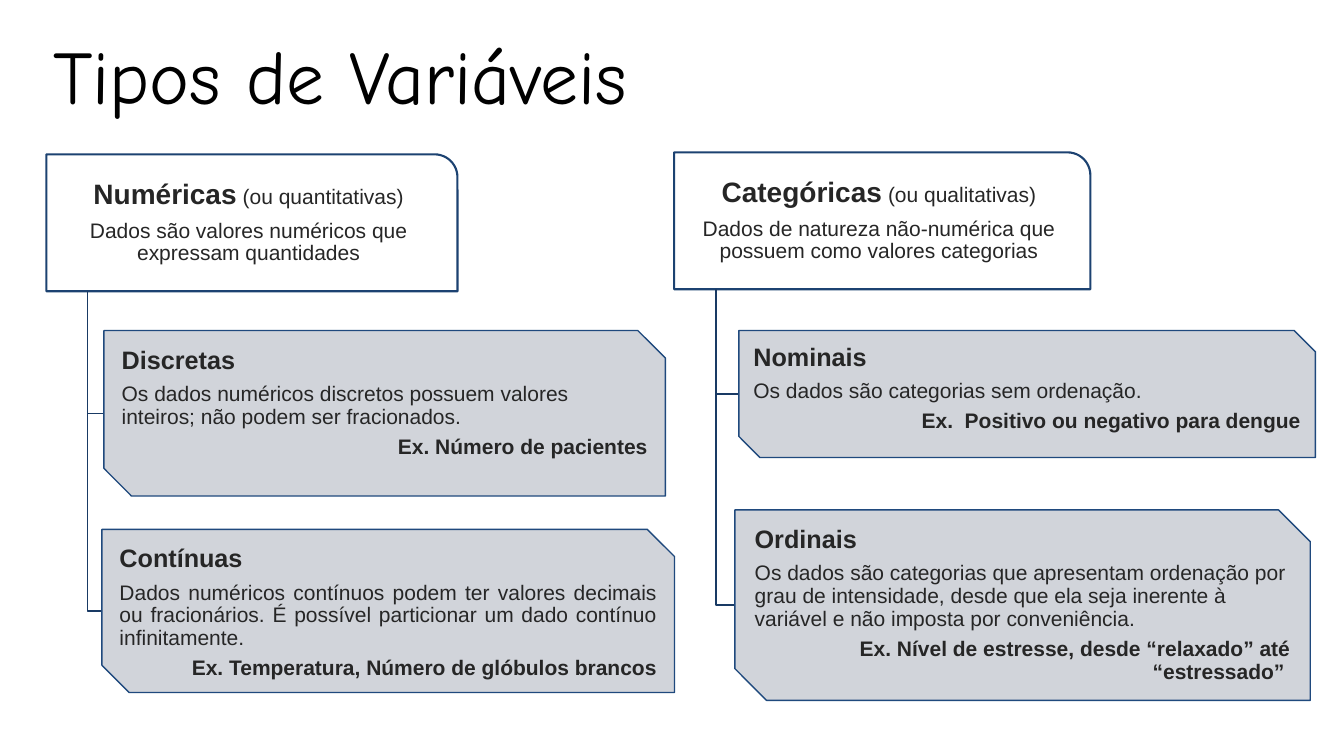
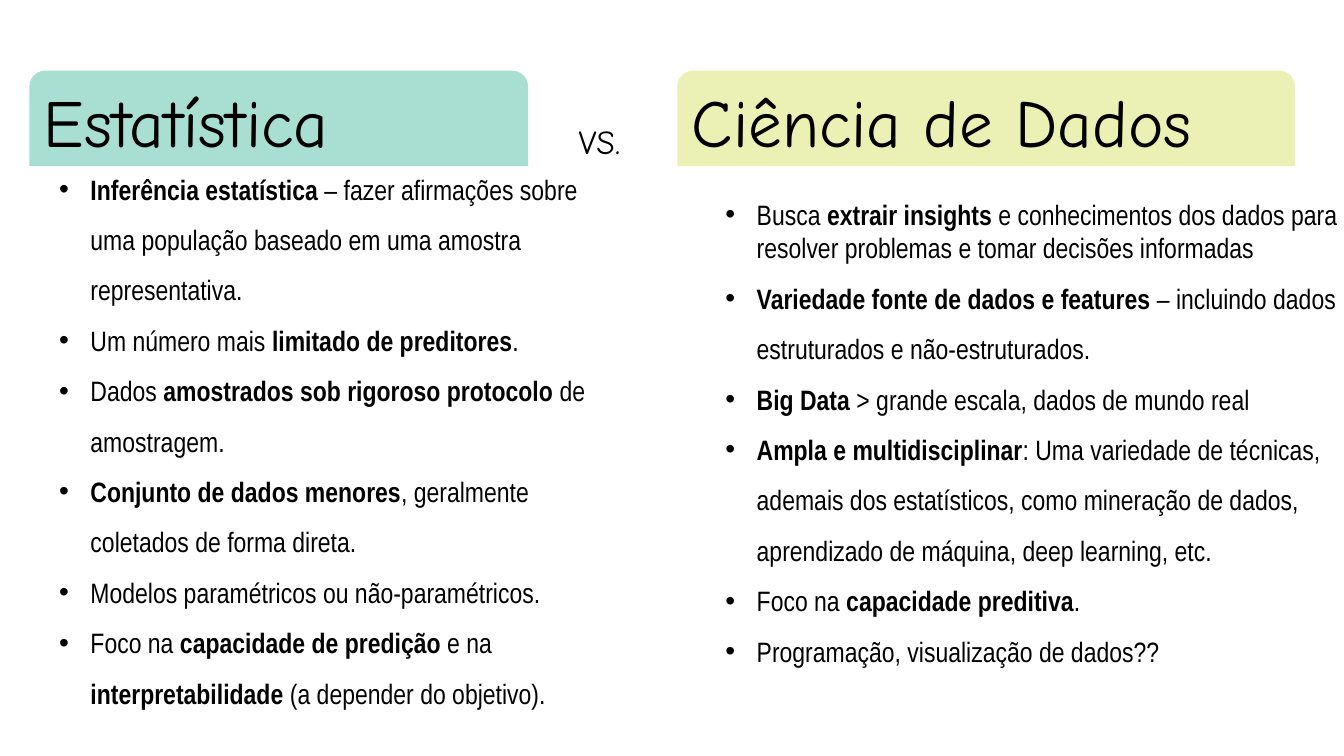
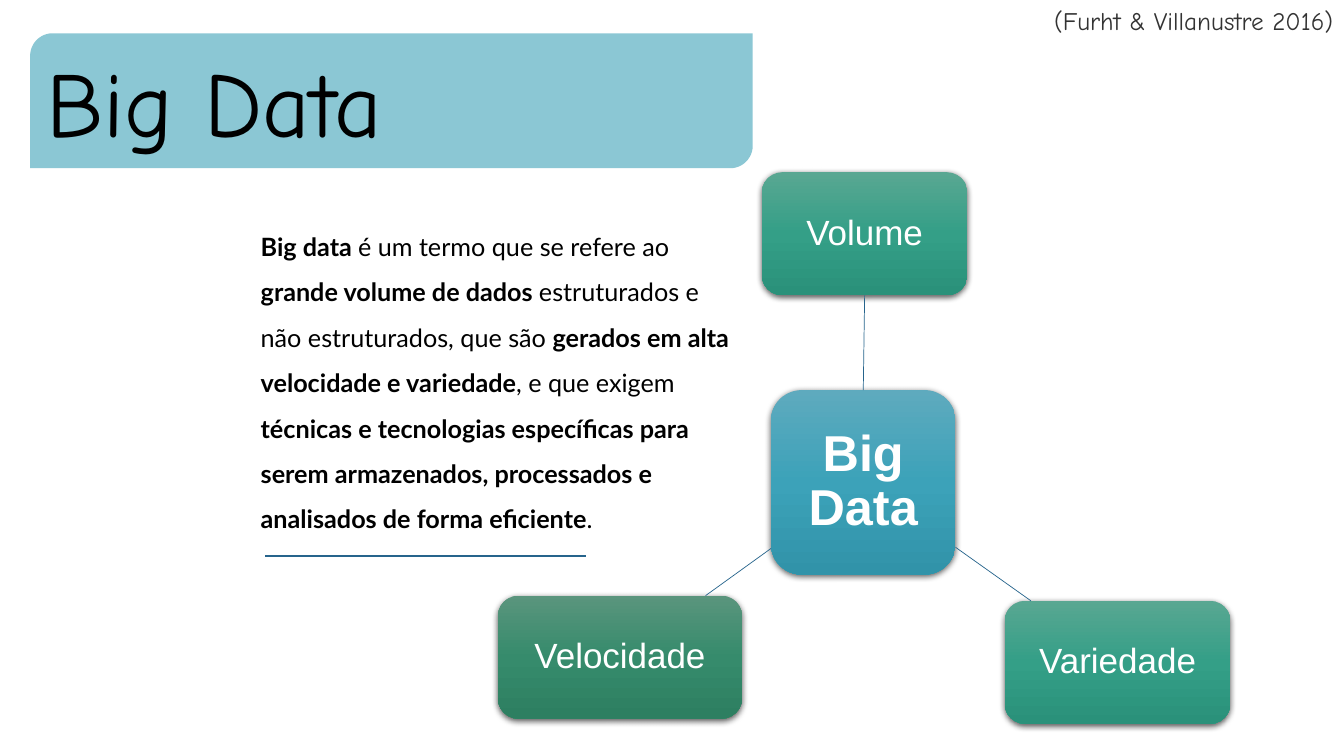
from dataclasses import dataclass
from typing import Any, Optional, Sequence

import lxml.etree
import pptx
import pptx.dml.color
import pptx.enum.shapes
import pptx.enum.text
import pptx.oxml
import pptx.oxml.ns
import pptx.util

Cm = pptx.util.Cm
Pt = pptx.util.Pt
qn = pptx.oxml.ns.qn
Align = pptx.enum.text.PP_ALIGN
Anchor = pptx.enum.text.MSO_ANCHOR
AutoSize = pptx.enum.text.MSO_AUTO_SIZE
Preset = pptx.enum.shapes.MSO_SHAPE

COLOURS = {
    "black": "000000", "white": "FFFFFF", "text": "262626", "citation": "333333",
    "group line": "1C4271", "card line": "1F497D", "card": "CDD0D7", "branch": "193A64",
    "mint": "A8DFD2", "lime": "EBF1B5", "sky": "8BC7D4", "link": "26648C",
}
GRADIENTS = {
    "blue": ("5EAABE", "3CA2B9", "3193A9"),
    "teal": ("59A792", "349F87", "2A917A"),
    "green": ("5A957D", "368B6C", "2D7F61"),
}
TITLE_FONT = "Comic Neue"
DIAGRAM_FONT = "Arial"
SIDE_MARGIN, TOP_MARGIN = 0.25, 0.13
AFTER_RATIO = 0.35


@dataclass
class Box:
    left: float
    top: float
    width: float
    height: float

    @property
    def lengths(self) -> tuple:
        return Cm(self.left), Cm(self.top), Cm(self.width), Cm(self.height)


@dataclass
class Run:
    text: str
    size: float
    bold: bool = False


@dataclass
class Paragraph:
    runs: Sequence[Run]
    align: Any = Align.LEFT
    spacing: float = 1.0
    after: float = 0
    bullet: Optional[bool] = None  # None leaves a plain text box as it is


@dataclass
class Card:
    box: Box
    name: str
    description: str
    example: str
    align: Any = Align.LEFT
    anchor: Any = Anchor.TOP


@dataclass
class Group:
    box: Box
    name: str
    alias: str
    description: str
    cards: Sequence[Card]


@dataclass
class Node:
    box: Box
    label: str
    gradient: str
    size: float = 25
    bold: bool = False
    margin: float = 0.18


# Shared helpers
def colour(name: str) -> Any:
    return pptx.dml.color.RGBColor.from_string(COLOURS[name])


def marked_runs(text: str, size: float) -> list[Run]:
    """Split text at ** marks; every second piece is bold."""
    pieces = text.split("**")
    return [Run(piece, size, index % 2 == 1) for index, piece in enumerate(pieces) if piece]


def set_bullet(paragraph: Any, bullet: bool) -> None:
    properties = paragraph._p.get_or_add_pPr()
    indent = Cm(0.79) if bullet else 0
    properties.set("marL", str(indent))
    properties.set("indent", str(-indent))
    if bullet:
        lxml.etree.SubElement(properties, qn("a:buFont")).set("typeface", "Arial")
        lxml.etree.SubElement(properties, qn("a:buChar")).set("char", "•")
    else:
        lxml.etree.SubElement(properties, qn("a:buNone"))


def write_text(shape: Any, paragraphs: Sequence[Paragraph], font: str, colour_name: str,
               anchor: Any = Anchor.TOP, side: float = SIDE_MARGIN, top: float = TOP_MARGIN,
               auto_size: Any = AutoSize.NONE) -> None:
    frame = shape.text_frame
    frame.word_wrap = True
    frame.auto_size = auto_size
    frame.vertical_anchor = anchor
    frame.margin_left = frame.margin_right = Cm(side)
    frame.margin_top = frame.margin_bottom = Cm(top)
    for index, content in enumerate(paragraphs):
        paragraph = frame.add_paragraph() if index else frame.paragraphs[0]
        if content.bullet is not None:
            set_bullet(paragraph, content.bullet)
        paragraph.alignment = content.align
        paragraph.line_spacing = content.spacing
        paragraph.space_before = Pt(0)
        paragraph.space_after = Pt(content.after)
        for item in content.runs:
            run = paragraph.add_run()
            run.text = item.text
            run.font.name = font
            run.font.size = Pt(item.size)
            run.font.bold = item.bold
            run.font.color.rgb = colour(colour_name)


def place(shape: Any, box: Box) -> None:
    shape.left, shape.top, shape.width, shape.height = box.lengths


def add_preset(slide: Any, preset: Any, box: Box, fill: Optional[str] = None,
               line: Optional[str] = None, line_width: float = 1) -> Any:
    shape = slide.shapes.add_shape(preset, *box.lengths)
    shape.shadow.inherit = False
    if fill:
        shape.fill.solid()
        shape.fill.fore_color.rgb = colour(fill)
    else:
        shape.fill.background()
    if line:
        shape.line.color.rgb = colour(line)
        shape.line.width = Pt(line_width)
    else:
        shape.line.fill.background()
    return shape


def add_line(slide: Any, start: tuple, end: tuple, width: float) -> Any:
    connector = slide.shapes.add_connector(
        pptx.enum.shapes.MSO_CONNECTOR.STRAIGHT, *(Cm(value) for value in start + end))
    connector.line.color.rgb = colour("link")
    connector.line.width = Pt(width)
    lxml.etree.SubElement(connector.element.spPr, qn("a:effectLst"))
    return connector


def add_label(slide: Any, box: Box, text: str, size: float, colour_name: str,
              align: Any = Align.LEFT) -> None:
    label = slide.shapes.add_textbox(*box.lengths)
    write_text(label, [Paragraph([Run(text, size)], align)], TITLE_FONT, colour_name)


def set_title(slide: Any, box: Box, text: str, size: float,
              preset: Any = None, fill: Optional[str] = None) -> None:
    title = slide.shapes.title
    place(title, box)
    corner = 0.0
    if preset is not None:
        band = add_preset(slide, preset, box, fill)
        title.element.addprevious(band.element)
        corner = box.height / 6 * 0.293  # room the rounded corner takes
    write_text(title, [Paragraph([Run(text, size)])], TITLE_FONT, "black",
               side=SIDE_MARGIN + corner, top=TOP_MARGIN + corner)


# Slide 1: tree of variable types
def diagram_paragraph(runs: Sequence[Run], align: Any = Align.LEFT) -> Paragraph:
    return Paragraph(runs, align, 0.9, AFTER_RATIO * max(run.size for run in runs))


def add_branch(slide: Any, parent: Box, child: Box) -> None:
    stem = parent.left + parent.width / 10
    middle = child.top + child.height / 2
    builder = slide.shapes.build_freeform(Cm(stem), Cm(parent.top + parent.height))
    builder.add_line_segments(
        [(Cm(stem), Cm(middle)), (Cm(child.left), Cm(middle))], close=False)
    branch = builder.convert_to_shape()
    branch.shadow.inherit = False
    branch.fill.background()
    branch.line.color.rgb = colour("branch")
    branch.line.width = Pt(1)


def add_card(slide: Any, card: Card) -> None:
    shape = add_preset(slide, Preset.SNIP_2_DIAG_RECTANGLE, card.box, "card", "card line")
    fill_colour = shape.element.spPr.find(qn("a:solidFill")).find(qn("a:srgbClr"))
    lxml.etree.SubElement(fill_colour, qn("a:alpha")).set("val", "90000")
    write_text(shape, [
        diagram_paragraph([Run(card.name, 18, True)]),
        diagram_paragraph([Run(card.description, 15)], card.align),
        diagram_paragraph([Run(card.example, 15, True)], Align.RIGHT),
    ], DIAGRAM_FONT, "text", card.anchor, 0.1, 0.08)


def add_group(slide: Any, group: Group) -> None:
    shape = add_preset(slide, Preset.ROUND_1_RECTANGLE, group.box, "white", "group line", 1.5)
    write_text(shape, [
        diagram_paragraph([Run(group.name, 20, True), Run(f" ({group.alias})", 15)], Align.CENTER),
        diagram_paragraph([Run(group.description, 15)], Align.CENTER),
    ], DIAGRAM_FONT, "text", Anchor.MIDDLE, 0.1, 0.08)
    for card in group.cards:
        add_branch(slide, group.box, card.box)
        add_card(slide, card)


def build_variable_types(presentation: Any) -> None:
    slide = presentation.slides.add_slide(presentation.slide_layouts[5])
    set_title(slide, Box(1.09, 0.61, 30.66, 2.57), "Tipos de Variáveis", 54)
    groups = [
        Group(Box(1.17, 3.89, 10.36, 3.45), "Numéricas", "ou quantitativas",
              "Dados são valores numéricos que expressam quantidades", [
                  Card(Box(2.62, 8.33, 14.15, 4.17), "Discretas",
                       "Os dados numéricos discretos possuem valores inteiros; "
                       "não podem ser fracionados.",
                       "Ex. Número de pacientes"),
                  Card(Box(2.57, 13.34, 14.43, 4.11), "Contínuas",
                       "Dados numéricos contínuos podem ter valores decimais ou fracionários. "
                       "É possível particionar um dado contínuo infinitamente.",
                       "Ex. Temperatura, Número de glóbulos brancos", Align.JUSTIFY),
              ]),
        Group(Box(16.99, 3.84, 10.49, 3.45), "Categóricas", "ou qualitativas",
              "Dados de natureza não-numérica que possuem como valores categorias", [
                  Card(Box(18.62, 8.33, 14.53, 3.2), "Nominais",
                       "Os dados são categorias sem ordenação.",
                       "Ex.  Positivo ou negativo para dengue"),
                  Card(Box(18.52, 12.85, 14.5, 4.8), "Ordinais",
                       "Os dados são categorias que apresentam ordenação por grau de intensidade, "
                       "desde que ela seja inerente à variável e não imposta por conveniência.",
                       "Ex. Nível de estresse, desde “relaxado” até “estressado” ",
                       anchor=Anchor.MIDDLE),
              ]),
    ]
    for group in groups:
        add_group(slide, group)


# Slide 2: two lists side by side
def fill_list(placeholder: Any, box: Box, items: Sequence[str], first_spacing: float) -> None:
    place(placeholder, box)
    paragraphs = [
        Paragraph(marked_runs(item, 20), spacing=1.5 if index else first_spacing, bullet=True)
        for index, item in enumerate(items)
    ]
    write_text(placeholder, paragraphs, "Arial Narrow", "black", Anchor.MIDDLE,
               auto_size=AutoSize.SHAPE_TO_FIT_TEXT)


def build_comparison(presentation: Any) -> None:
    slide = presentation.slides.add_slide(presentation.slide_layouts[3])
    preset = Preset.ROUND_2_SAME_RECTANGLE
    set_title(slide, Box(0.74, 1.78, 12.57, 2.41), "Estatística", 48, preset, "mint")
    right_heading = add_preset(slide, preset, Box(17.07, 1.78, 15.57, 2.41), "lime")
    write_text(right_heading, [Paragraph([Run("Ciência de Dados", 48)])], TITLE_FONT, "black")
    add_label(slide, Box(14.33, 2.92, 1.73, 1.27), "VS.", 24, "black")
    fill_list(slide.placeholders[1], Box(1.24, 4.45, 13.82, 12.9), [
        "**Inferência estatística **– fazer afirmações sobre uma população baseado em uma "
        "amostra representativa.",
        "Um número mais **limitado de preditores**.",
        "Dados **amostrados sob rigoroso protocolo **de amostragem.",
        "**Conjunto de dados menores**, geralmente coletados de forma direta.",
        "Modelos paramétricos ou não-paramétricos.",
        "Foco na **capacidade de predição **e na **interpretabilidade** "
        "(a depender do objetivo).",
    ], 1.5)
    fill_list(slide.placeholders[2], Box(18.03, 4.88, 16.08, 12.04), [
        "Busca **extrair insights **e conhecimentos dos dados para resolver problemas e "
        "tomar decisões informadas",
        "**Variedade fonte de dados e features **– incluindo dados estruturados e "
        "não-estruturados.",
        "**Big Data **> grande escala, dados de mundo real",
        "**Ampla e multidisciplinar**: Uma variedade de técnicas, ademais dos estatísticos, "
        "como mineração de dados, aprendizado de máquina, deep learning, etc.",
        "Foco na **capacidade preditiva**.",
        "Programação, visualização de dados??",
    ], 1.0)


# Slide 3: definition and diagram of the three Vs
def add_node(slide: Any, node: Node) -> Any:
    shape = add_preset(slide, Preset.ROUNDED_RECTANGLE, node.box)
    properties = shape.element.spPr
    namespace = pptx.oxml.ns.nsdecls("a")
    stops = "".join(
        f'<a:gs pos="{index * 50000}"><a:srgbClr val="{value}"/></a:gs>'
        for index, value in enumerate(GRADIENTS[node.gradient]))
    gradient = pptx.oxml.parse_xml(
        f'<a:gradFill {namespace} rotWithShape="1"><a:gsLst>{stops}</a:gsLst>'
        '<a:lin ang="5400000" scaled="0"/></a:gradFill>')
    properties.replace(properties.find(qn("a:noFill")), gradient)
    shadow = pptx.oxml.parse_xml(
        f'<a:outerShdw {namespace} blurRad="{Pt(4.5)}" dist="{Pt(1.5)}" dir="5400000" '
        f'rotWithShape="0"><a:srgbClr val="{COLOURS["black"]}"><a:alpha val="63000"/>'
        '</a:srgbClr></a:outerShdw>')
    properties.find(qn("a:effectLst")).append(shadow)
    label = diagram_paragraph([Run(node.label, node.size, node.bold)], Align.CENTER)
    write_text(shape, [label], DIAGRAM_FONT, "white", Anchor.MIDDLE, node.margin, node.margin)
    return shape


def build_big_data(presentation: Any) -> None:
    slide = presentation.slides.add_slide(presentation.slide_layouts[1])
    set_title(slide, Box(0.76, 0.84, 18.21, 3.4), "Big Data", 66,
              Preset.ROUND_2_DIAG_RECTANGLE, "sky")
    definition = slide.placeholders[1]
    place(definition, Box(6.32, 5.36, 12.67, 8.18))
    text = ("**Big data **é um termo que se refere ao **grande volume de dados **estruturados e "
            "não estruturados, que são **gerados em alta velocidade e variedade**, e que exigem "
            "**técnicas e tecnologias específicas para serem armazenados, processados e "
            "analisados de forma eficiente**.")
    write_text(definition, [Paragraph(marked_runs(text, 18), spacing=1.5, bullet=False)],
               "Lato", "black", Anchor.MIDDLE, auto_size=AutoSize.SHAPE_TO_FIT_TEXT)
    add_line(slide, (6.68, 14), (14.76, 14), 1.5)

    centre = add_node(slide, Node(Box(19.43, 9.83, 4.65, 4.65), "Big Data", "blue",
                                  36, True, 0.25))
    volume = add_node(slide, Node(Box(19.2, 4.34, 5.18, 3.1), "Volume", "teal"))
    add_node(slide, Node(Box(25.32, 15.14, 5.69, 3.1), "Variedade", "teal"))
    add_node(slide, Node(Box(12.55, 15.01, 6.15, 3.1), "Velocidade", "green"))
    volume_link = add_line(slide, (21.76, 9.83), (21.79, 7.44), 0.5)
    volume_link.begin_connect(centre, 0)
    volume_link.end_connect(volume, 2)
    add_line(slide, (24.08, 13.79), (25.98, 15.14), 0.5)
    add_line(slide, (19.43, 13.82), (17.78, 15.01), 0.5)
    add_label(slide, Box(24.1, 0, 9.75, 1.02), "(Furht & Villanustre 2016)", 18,
              "citation", Align.RIGHT)


def main() -> None:
    presentation = pptx.Presentation()
    presentation.slide_width = Cm(33.87)
    presentation.slide_height = Cm(19.05)
    build_variable_types(presentation)
    build_comparison(presentation)
    build_big_data(presentation)
    presentation.save("out.pptx")


if __name__ == "__main__":
    main()
